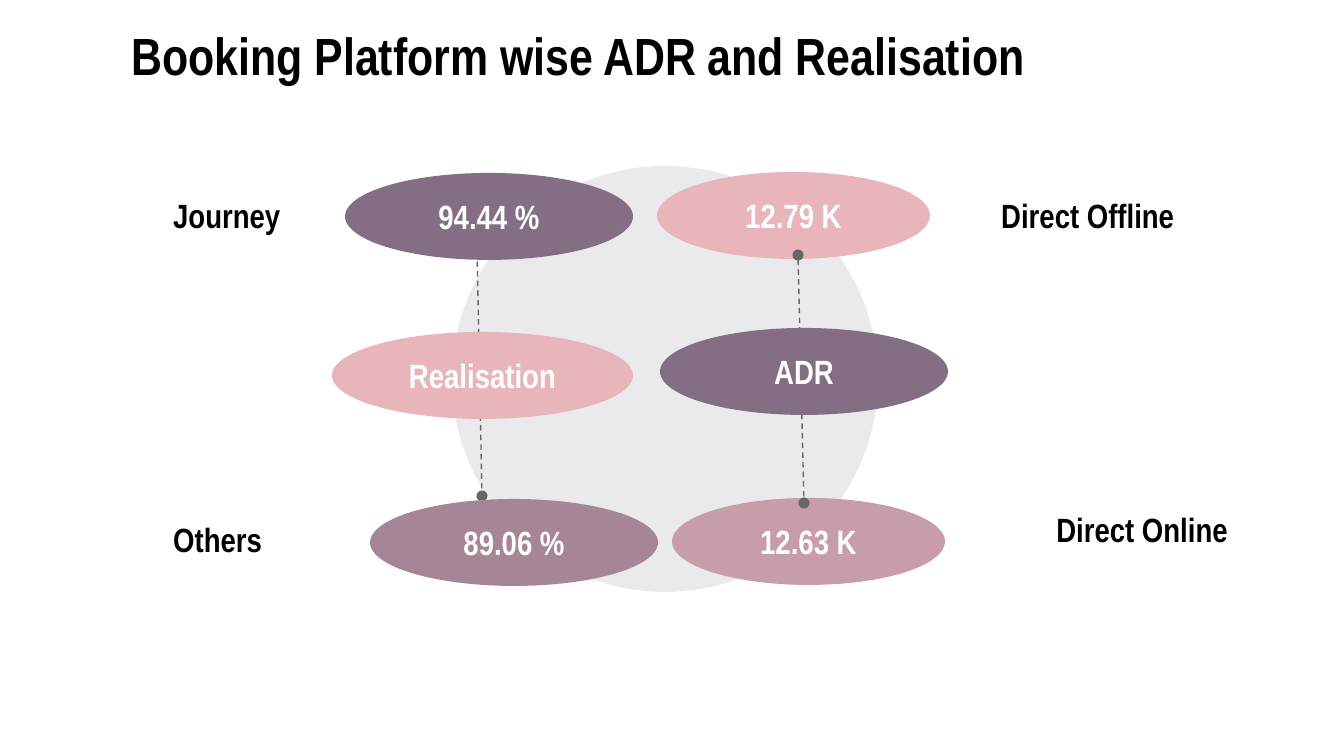
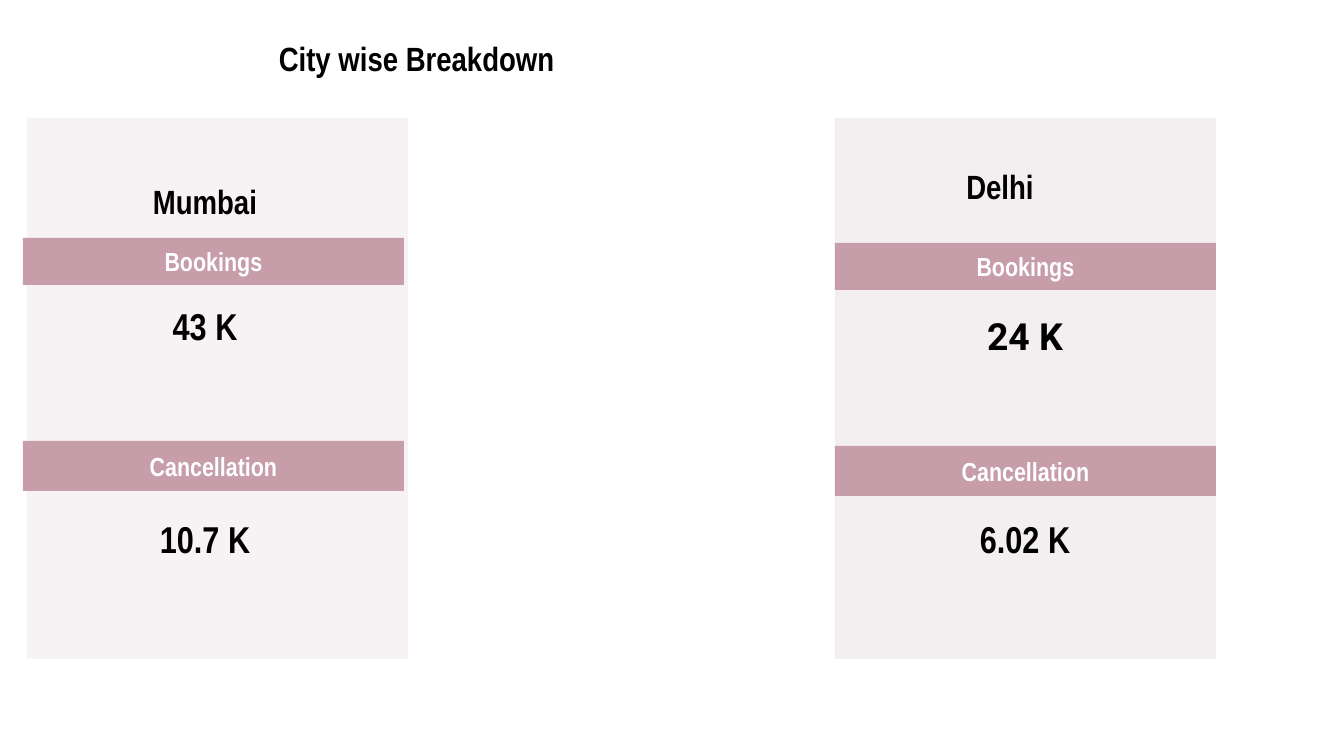
"""Build the booking platform and city breakdown slides."""
import dataclasses

import lxml.etree
import pptx
import pptx.dml.color
import pptx.enum.dml
import pptx.enum.shapes
import pptx.enum.text
import pptx.oxml.ns
import pptx.util

SHAPE = pptx.enum.shapes.MSO_SHAPE
ALIGN = pptx.enum.text.PP_ALIGN


@dataclasses.dataclass(frozen=True)
class Theme:
    """Hold the colours, fonts and type sizes that the slides share."""
    ink: str = "000000"
    paper: str = "FFFFFF"
    rule: str = "666666"
    disc: str = "635671"
    plum: str = "846E84"
    mauve: str = "A68596"
    rose: str = "C79DA9"
    blush: str = "E8B5BB"
    tint: int = 13
    face: str = "Arial Narrow"
    alt: str = "Roboto"
    head: int = 28
    body: int = 18
    value: int = 20
    band: int = 14


THEME = Theme()


def px(count):
    """Turn pixels into EMU."""
    return round(count * 914400 / 134.4)


def rgb(code):
    """Turn a hex code into a colour."""
    return pptx.dml.color.RGBColor.from_string(code)


def child(parent, tag, **values):
    """Append a drawing element to its parent."""
    return lxml.etree.SubElement(parent, pptx.oxml.ns.qn(tag), values)


def write(shape, text, size, color, align=ALIGN.CENTER, face=THEME.face):
    """Set one bold line of text in a shape."""
    frame = shape.text_frame
    sides = ("left", "right", "top", "bottom")
    look = {f"margin_{side}": pptx.util.Inches(0.1) for side in sides}
    look |= {"word_wrap": True,
             "vertical_anchor": pptx.enum.text.MSO_ANCHOR.MIDDLE}
    for name, value in look.items():
        setattr(frame, name, value)
    line = frame.paragraphs[0]
    line.alignment = align
    run = line.add_run()
    run.text = text
    style = {"name": face, "size": pptx.util.Pt(size), "bold": True}
    for name, value in style.items():
        setattr(run.font, name, value)
    run.font.color.rgb = rgb(color)


def label(slide, box, text, size=THEME.body, **style):
    """Place dark text in a box."""
    shape = slide.shapes.add_textbox(*map(px, box))
    write(shape, text, size, THEME.ink, **style)


def block(slide, kind, box, fill, text="", size=THEME.body, tint=None):
    """Place a filled shape, with light text or a tint if given."""
    shape = slide.shapes.add_shape(kind, *map(px, box))
    shape.shadow.inherit = False
    shape.fill.solid()
    shape.fill.fore_color.rgb = rgb(fill)
    shape.line.fill.background()
    if tint:
        color = shape.fill._xPr.find(".//" + pptx.oxml.ns.qn("a:srgbClr"))
        child(color, "a:alpha", val=str(tint * 1000))
    if text:
        write(shape, text, size, THEME.paper)


def link(slide, start, end):
    """Draw a dashed line with round ends."""
    kind = pptx.enum.shapes.MSO_CONNECTOR.STRAIGHT
    wire = slide.shapes.add_connector(kind, *map(px, start + end))
    wire.line.color.rgb = rgb(THEME.rule)
    wire.line.width = pptx.util.Pt(0.75)
    wire.line.dash_style = pptx.enum.dml.MSO_LINE.DASH
    edge = wire.line._get_or_add_ln()
    for tag in ("a:headEnd", "a:tailEnd"):
        child(edge, tag, type="oval")
    child(wire._element.spPr, "a:effectLst")


def board(slide, box):
    """Draw the ovals, links and labels around a disc."""
    left, top, width, height = box

    def oval(x, y, wide, fill, text):
        """Place one oval relative to the disc."""
        spot = (left + x, top + y, wide, 87)
        block(slide, SHAPE.OVAL, spot, fill, text)

    link(slide, (left + 25, top + 81), (left + 30, top + 330))
    block(slide, SHAPE.OVAL, box, THEME.disc, tint=THEME.tint)
    for x, y, wide, fill, text in (
            (-82, 333, 288, THEME.mauve, "89.06 %"),
            (-107, 7, 288, THEME.plum, "94.44 %"),
            (220, 332, 273, THEME.rose, "12.63 K"),
            (205, 6, 273, THEME.blush, "12.79 K")):
        oval(x, y, wide, fill, text)
    link(slide, (left + 346, top + 89), (left + 352, top + 337))
    oval(208, 162, 288, THEME.plum, "ADR")
    oval(-120, 166, 301, THEME.blush, "Realisation")
    for x, y, wide, text, align in (
            (-292, 29, 223, "Journey", ALIGN.LEFT),
            (-292, 353, 223, "Others", ALIGN.LEFT),
            (536, 29, 270, "Direct Offline", ALIGN.LEFT),
            (509, 343, 280, "Direct Online", ALIGN.RIGHT)):
        label(slide, (left + x, top + y, wide, 40), text, align=align)


def card(slide, box, fill, city, name, shift, inset, rows):
    """Draw a city panel with a band and a value for each row."""
    left, top, width, height = box
    block(slide, SHAPE.RECTANGLE, box, fill, tint=THEME.tint)
    label(slide, (left + name[0], top + name[1], 302, 40), city)
    for step, (title, tall, value, y, deep, face) in enumerate(rows):
        band = (left + shift[0], top + shift[1] + step * 203, width, tall)
        block(slide, SHAPE.RECTANGLE, band, THEME.rose, title, THEME.band)
        label(slide, (left + inset, top + y, 302, deep), value,
              THEME.value, face=face)


def cities(slide):
    """Place the two city panels."""
    top, width, height = 118, 381, 541
    for left, fill, city, name, shift, inset, first, last in (
            (27, THEME.rose, "Mumbai", (27, 63), (-4, 120), 27,
             ("43 K", 188, 40, THEME.face), "10.7 K"),
            (835, THEME.mauve, "Delhi", (14, 48), (0, 125), 39,
             ("24 K", 188, 59, THEME.alt), "6.02 K")):
        rows = (("Bookings", 47, *first),
                ("Cancellation", 50, last, 401, 40, THEME.face))
        card(slide, (left, top, width, height), fill, city, name,
             shift, inset, rows)


def main():
    """Build and save both slides."""
    deck = pptx.Presentation()
    deck.slide_width, deck.slide_height = px(1344), px(756)
    blank = deck.slide_layouts[6]

    slide = deck.slides.add_slide(blank)
    label(slide, (-28, 4, 1212, 101),
          "Booking Platform wise ADR and Realisation", THEME.head)
    board(slide, (452, 166, 426, 426))

    slide = deck.slides.add_slide(blank)
    label(slide, (-8, 31, 857, 55), "City wise Breakdown ")
    cities(slide)

    deck.save("out.pptx")


if __name__ == "__main__":
    main()
